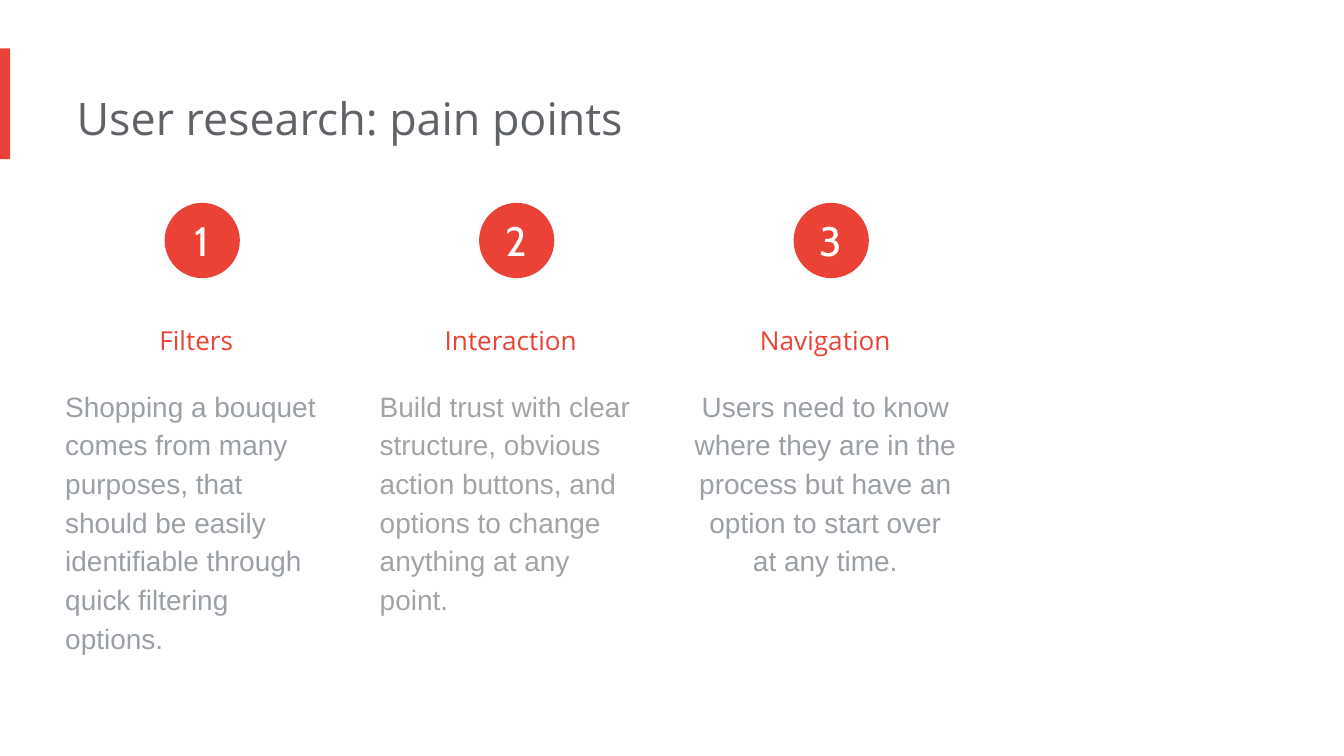
from dataclasses import dataclass

from pptx import Presentation
from pptx import util as u
from pptx.dml.color import RGBColor
from pptx.enum import shapes, text

EMU_PER_PX = 4572  # 200 px to the inch
RED, GREY = "EA4335", "9AA0A6"
LEFT, CENTER = text.PP_ALIGN.LEFT, text.PP_ALIGN.CENTER
COLUMN_PITCH = 468


def px(length: int) -> int:
    return u.Emu(length * EMU_PER_PX)


def rgb(color: str) -> RGBColor:
    return RGBColor.from_string(color)


@dataclass(frozen=True)
class Box:
    left: int
    top: int
    width: int
    height: int

    def shifted(self, distance: int) -> "Box":
        return Box(self.left + distance, self.top, self.width, self.height)

    def emu(self) -> list[int]:
        return [px(n) for n in (self.left, self.top, self.width, self.height)]


@dataclass(frozen=True)
class Style:
    font: str
    size: int
    color: str
    align: text.PP_ALIGN = LEFT
    line_spacing: float = 1.0


@dataclass(frozen=True)
class PainPoint:
    heading: str
    description: str
    height: int
    color: str = GREY
    align: text.PP_ALIGN = LEFT


PAIN_POINTS = [
    PainPoint("Filters", "Shopping a bouquet comes from many purposes, that should be "
              "easily identifiable through quick filtering options.", 546),
    PainPoint("Interaction", "Build trust with clear structure, obvious action buttons, and "
              "options to change anything at any point.", 488, color="A4A4A4"),
    PainPoint("Navigation", "Users need to know where they are in the process but have an "
              "option to start over at any time.", 324, align=CENTER),
]

TITLE_BOX = Box(114, 115, 1346, 122)
ACCENT_BOX = Box(0, 72, 15, 165)
BADGE_BOX = Box(245, 302, 112, 112)
HEADING_BOX = Box(97, 440, 410, 88)

TITLE_STYLE = Style("Open Sans", 24, "5F6368")
BADGE_STYLE = Style("Cabin", 22, "FFFFFF", CENTER)
HEADING_STYLE = Style("Open Sans", 14, RED, CENTER, 1.5)

BLOCK_FRAME = {
    "margin_left": 0, "margin_top": px(20), "margin_right": px(20), "margin_bottom": px(20),
    "word_wrap": True, "vertical_anchor": text.MSO_ANCHOR.TOP,
    "auto_size": text.MSO_AUTO_SIZE.SHAPE_TO_FIT_TEXT,
}
BADGE_FRAME = {
    "margin_left": 0, "margin_top": 0, "margin_right": 0, "margin_bottom": 0,
    "word_wrap": True, "vertical_anchor": text.MSO_ANCHOR.MIDDLE,
}


def set_all(target, values: dict) -> None:
    for name, value in values.items():
        setattr(target, name, value)


def write(shape, content: str, style: Style, frame: dict) -> None:
    set_all(shape.text_frame, frame)
    paragraph = shape.text_frame.paragraphs[0]
    set_all(paragraph, {"alignment": style.align, "line_spacing": style.line_spacing})
    run = paragraph.add_run()
    run.text = content
    set_all(run.font, {"name": style.font, "size": u.Pt(style.size)})
    run.font.color.rgb = rgb(style.color)


def add_block(slide, box: Box, content: str, style: Style) -> None:
    write(slide.shapes.add_textbox(*box.emu()), content, style, BLOCK_FRAME)


def add_solid(slide, kind: shapes.MSO_SHAPE, box: Box):
    shape = slide.shapes.add_shape(kind, *box.emu())
    shape.shadow.inherit = False
    shape.fill.solid()
    shape.fill.fore_color.rgb = rgb(RED)
    shape.line.fill.background()
    return shape


def add_pain_point(slide, index: int, point: PainPoint) -> None:
    shift = index * COLUMN_PITCH
    badge = add_solid(slide, shapes.MSO_SHAPE.OVAL, BADGE_BOX.shifted(shift))
    write(badge, str(index + 1), BADGE_STYLE, BADGE_FRAME)
    heading_box = HEADING_BOX.shifted(shift)
    add_block(slide, heading_box, point.heading, HEADING_STYLE)
    add_block(slide, Box(heading_box.left, 552, heading_box.width, point.height),
              point.description, Style("Arial", 15, point.color, point.align, 1.15))


def main() -> None:
    presentation = Presentation()
    set_all(presentation, {"slide_width": px(2000), "slide_height": px(1125)})
    slide = presentation.slides.add_slide(presentation.slide_layouts[5])

    # Accent bar and title
    add_solid(slide, shapes.MSO_SHAPE.RECTANGLE, ACCENT_BOX)
    title = slide.shapes.title
    set_all(title, dict(zip(("left", "top", "width", "height"), TITLE_BOX.emu())))
    write(title, "User research: pain points", TITLE_STYLE, BLOCK_FRAME)

    # One numbered column for each pain point
    for index, point in enumerate(PAIN_POINTS):
        add_pain_point(slide, index, point)

    presentation.save("out.pptx")


if __name__ == "__main__":
    main()
